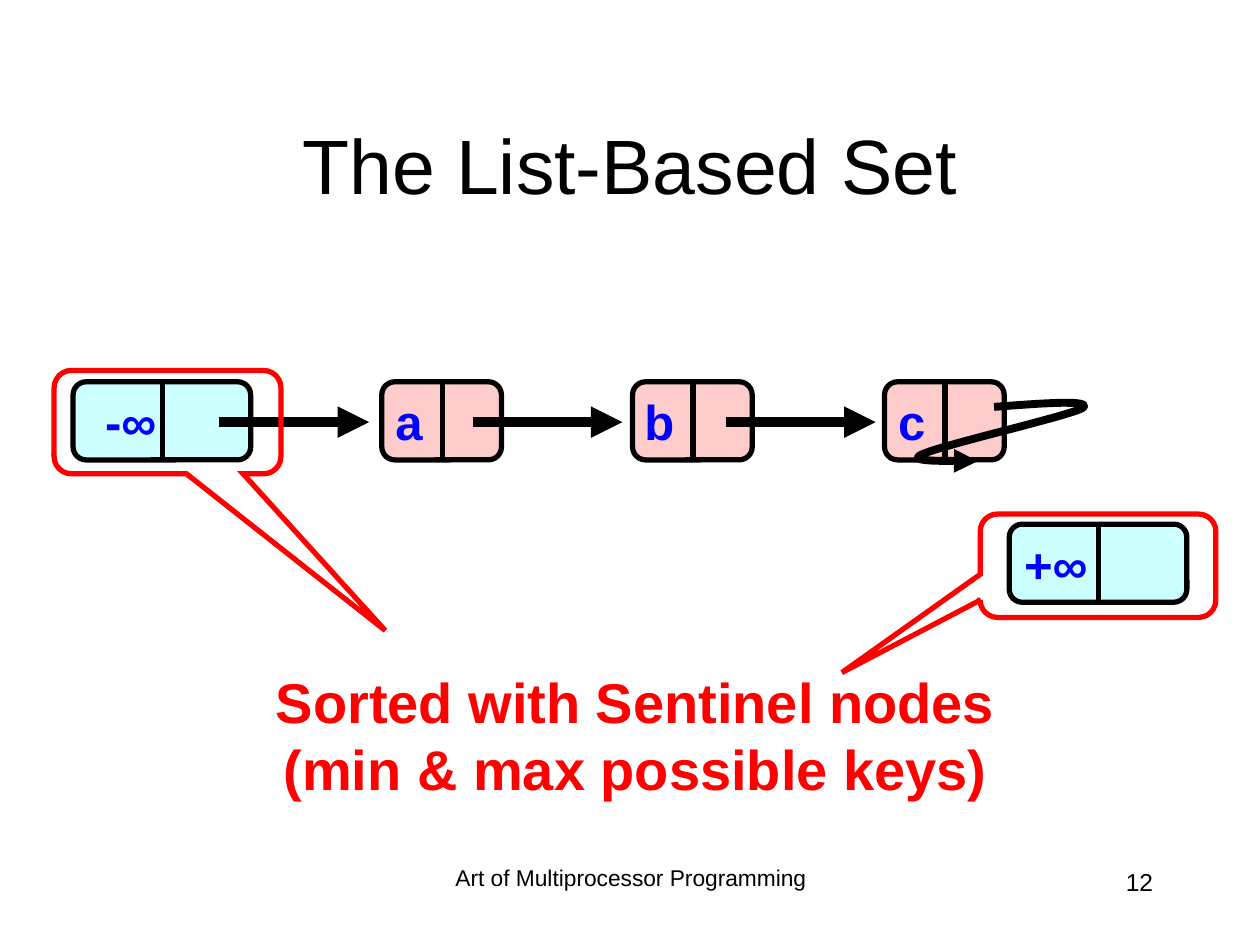
from lxml.etree import SubElement
from pptx import Presentation
from pptx.dml.color import RGBColor
from pptx.enum.shapes import MSO_CONNECTOR as Connector, MSO_SHAPE as Shape
from pptx.enum.text import MSO_ANCHOR as Anchor, MSO_AUTO_SIZE as AutoSize, PP_ALIGN as Align
from pptx.oxml.ns import qn
from pptx.util import Inches, Pt


def color(value):
    return RGBColor.from_string(value)


def add_text(left, top, width, height, lines, size, value, align, bold=False, wrap=True):
    box = slide.shapes.add_textbox(Inches(left), Inches(top), Inches(width), Inches(height))
    box.text_frame.word_wrap = wrap
    if not wrap:
        box.text_frame.auto_size = AutoSize.SHAPE_TO_FIT_TEXT
    for index, line in enumerate(lines):
        paragraph = box.text_frame.paragraphs[0] if index == 0 else box.text_frame.add_paragraph()
        paragraph.alignment = align
        run = paragraph.add_run()
        run.text = line
        run.font.name = "Arial"
        run.font.size = Pt(size)
        run.font.bold = bold
        run.font.color.rgb = color(value)
    return box.text_frame


presentation = Presentation()
presentation.slide_width = Inches(10)
presentation.slide_height = Inches(7.5)
slide = presentation.slides.add_slide(presentation.slide_layouts[6])

footer = add_text(3.42, 6.83, 3.17, 0.5, ["Art of Multiprocessor Programming"], 13, "000000", Align.CENTER)
footer.paragraphs[0].line_spacing = 0.9
add_text(7.17, 6.83, 2.08, 0.5, ["12"], 14, "000000", Align.RIGHT)
title = add_text(0.75, 0.67, 8.5, 1.25, ["The List-Based Set"], 44, "000000", Align.CENTER)
title.vertical_anchor = Anchor.MIDDLE

nodes = [
    ("-∞", 0.58, 3.03, 1.41, 0.71, "CCFFFF", 0.7, 0.64),
    ("a", 3.03, 3.03, 0.95, 0.48, "FFCCCC", 3.04, 0.41),
    ("b", 5.02, 3.03, 0.95, 0.48, "FFCCCC", 5.01, 0.44),
    ("c", 7.02, 3.03, 0.95, 0.48, "FFCCCC", 7.03, 0.41),
    ("+∞", 8.01, 4.16, 1.41, 0.71, "CCFFFF", 7.99, 0.74),
]
for key, left, top, width, split, fill, text_left, text_width in nodes:
    node = slide.shapes.add_shape(
        Shape.ROUNDED_RECTANGLE, Inches(left), Inches(top), Inches(width), Inches(0.62))
    node.adjustments[0] = 0.167
    node.shadow.inherit = False
    node.fill.solid()
    node.fill.fore_color.rgb = color(fill)
    divider = slide.shapes.add_connector(
        Connector.STRAIGHT, Inches(left + split), Inches(top), Inches(left + split), Inches(top + 0.63))
    SubElement(divider._element.spPr, qn("a:effectLst"))
    for shape in (node, divider):
        shape.line.color.rgb = color("000000")
        shape.line.width = Pt(3)
    add_text(text_left, top + 0.03, text_width, 0.57, [key], 28, "0000FF", Align.RIGHT, True, False)

arrows = []
for left in (1.74, 3.75, 5.76):
    arrow = slide.shapes.add_connector(
        Connector.STRAIGHT, Inches(left), Inches(3.35), Inches(left + 1.19), Inches(3.35))
    SubElement(arrow._element.spPr, qn("a:effectLst"))
    arrows.append((arrow, 6))

callouts = [
    (0.43, 2.94, 1.8, (0.96, 2.017, 0.167)),
    (7.78, 4.08, 1.87, (-1.087, 1.034, 0.167)),
]
for left, top, width, adjustments in callouts:
    callout = slide.shapes.add_shape(
        Shape.ROUNDED_RECTANGULAR_CALLOUT, Inches(left), Inches(top), Inches(width), Inches(0.82))
    for index, value in enumerate(adjustments):
        callout.adjustments[index] = value
    callout.shadow.inherit = False
    callout.fill.background()
    callout.line.color.rgb = color("FF0000")
    callout.line.width = Pt(3)
    SubElement(callout.line._get_or_add_ln(), qn("a:miter"), lim="800000")

add_text(0.88, 5.25, 8.33, 1.17, ["Sorted with Sentinel nodes", "(min & max possible keys)"],
         32, "FF0000", Align.CENTER, True)

curve = [(7.89, 3.23), (8.27, 3.2), (8.69, 3.17), (8.59, 3.24), (8.49, 3.3),
         (7.44, 3.54), (7.31, 3.61), (7.17, 3.68), (7.67, 3.65), (7.76, 3.66)]
steps = 16
points = []
for first in (0, 3, 6):
    controls = curve[first:first + 4]
    for step in range(1, steps + 1):
        t = step / steps
        weights = ((1 - t) ** 3, 3 * t * (1 - t) ** 2, 3 * t ** 2 * (1 - t), t ** 3)
        points.append(tuple(
            Inches(sum(weight * control[axis] for weight, control in zip(weights, controls)))
            for axis in (0, 1)))
builder = slide.shapes.build_freeform(Inches(curve[0][0]), Inches(curve[0][1]))
builder.add_line_segments(points, close=False)
link = builder.convert_to_shape()
link.shadow.inherit = False
link.fill.background()
arrows.append((link, 4.5))

for arrow, width in arrows:
    arrow.line.color.rgb = color("000000")
    arrow.line.width = Pt(width)
    SubElement(arrow.line._get_or_add_ln(), qn("a:tailEnd"), type="triangle")

presentation.save("out.pptx")
